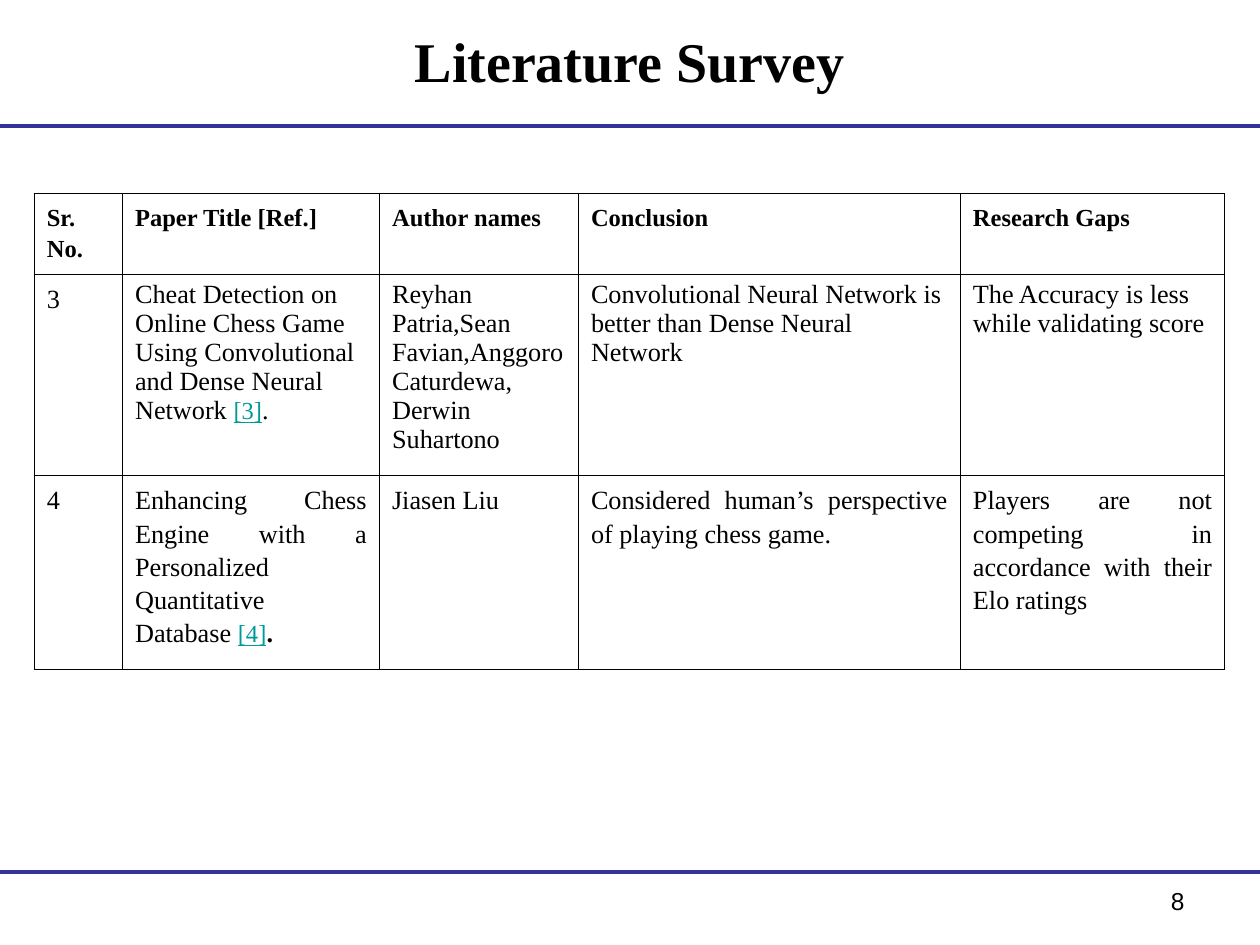
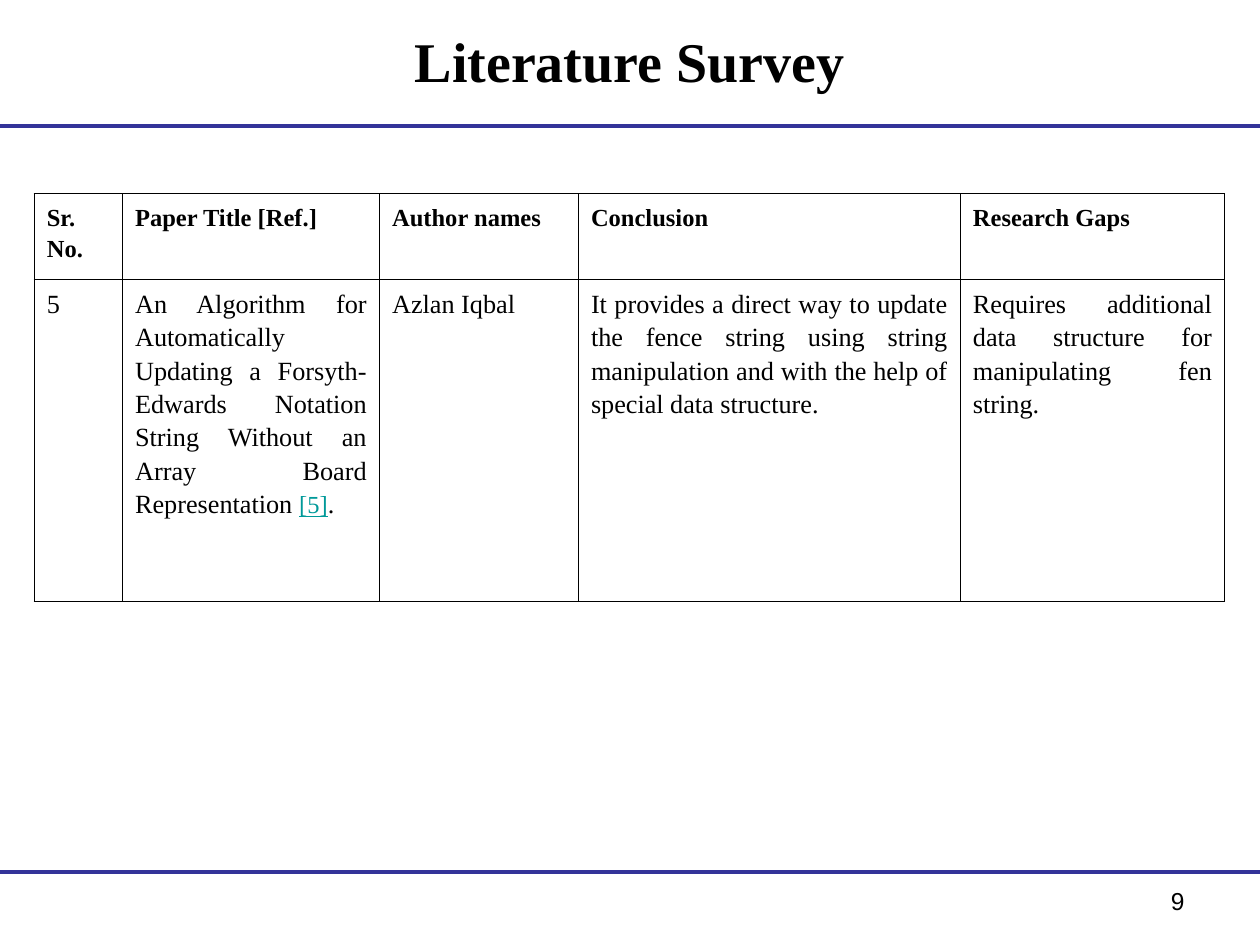
"""Build the two literature survey slides, each with a ruled table of papers."""
from dataclasses import dataclass

from lxml.etree import SubElement
from pptx import Presentation
from pptx.dml.color import RGBColor as RGB
from pptx.enum.shapes import MSO_CONNECTOR as CONN
from pptx.enum.text import MSO_ANCHOR as ANCHOR, PP_ALIGN as ALIGN
from pptx.oxml import parse_xml
from pptx.oxml.ns import nsdecls, qn
from pptx.util import Cm, Pt

TITLE = "Literature Survey"
HEADERS = ["Sr. No.", "Paper Title [Ref.]", "Author names", "Conclusion", "Research Gaps"]


@dataclass
class Paper:
    number: int
    title: str
    authors: str
    conclusion: str
    gaps: str
    height: float
    spaced: bool = True
    bold_stop: bool = False


SLIDES = [
    {"page": 8, "header_height": 1.6, "papers": [
        Paper(3, "Cheat Detection on Online Chess Game Using Convolutional and Dense Neural Network ",
              "Reyhan Patria,Sean Favian,Anggoro Caturdewa, Derwin Suhartono",
              "Convolutional Neural Network is better than Dense Neural Network",
              "The Accuracy is less\nwhile validating score", 3.81, spaced=False),
        Paper(4, "Enhancing Chess Engine with a Personalized Quantitative Database ",
              "Jiasen Liu",
              "Considered human’s perspective of playing chess game.",
              "Players are not competing in accordance with their Elo ratings", 3.61,
              bold_stop=True),
    ]},
    {"page": 9, "header_height": 1.73, "papers": [
        Paper(5, "An Algorithm for Automatically Updating a Forsyth-Edwards Notation String "
                 "Without an Array Board Representation ",
              "Azlan Iqbal",
              "It provides a direct way to update the fence string using string manipulation "
              "and with the help of special data structure.",
              "Requires additional data structure for manipulating fen string.", 6.48),
    ]},
]


@dataclass(frozen=True)
class Theme:
    ink: RGB = RGB(0, 0, 0)
    rule: RGB = RGB(0x33, 0x33, 0x99)
    ref: RGB = RGB(0x00, 0x99, 0x99)
    serif: str = "Times New Roman"
    sans: str = "Arial"
    title: int = 32
    body: int = 15
    small: int = 14
    rule_width: float = 2.25
    border_width: float = 0.62


T = Theme()
WIDTH, HEIGHT = 25.4, 19.05
RULES = [2.54, 17.58]
TITLE_BOX = (1.27, 0.33, 22.86, 1.78)
PAGE_BOX = (18.21, 17.73, 5.92, 1.32)
TABLE_LEFT, TABLE_TOP = 0.69, 3.91
COLUMNS = [1.78, 5.18, 4.01, 7.7, 5.33]


def style(r, size, font=T.serif, bold=False, color=T.ink):
    r.font.size, r.font.name, r.font.bold = Pt(size), font, bold
    r.font.color.rgb = color


def add_rule(s, y):
    line = s.shapes.add_connector(CONN.STRAIGHT, 0, Cm(y), Cm(WIDTH), Cm(y))
    line.line.color.rgb, line.line.width = T.rule, Pt(T.rule_width)
    SubElement(line._element.spPr, qn("a:effectLst"))


def add_label(s, box, text, align, anchor, **look):
    tf = s.shapes.add_textbox(*map(Cm, box)).text_frame
    tf.word_wrap, tf.vertical_anchor, tf.text = True, anchor, text
    p = tf.paragraphs[0]
    p.alignment = align
    style(p.runs[0], **look)


def set_borders(cell):
    tc_pr = cell._tc.get_or_add_tcPr()
    for i, side in enumerate("LRTB"):
        tc_pr.insert(i, parse_xml(
            f'<a:ln{side} {nsdecls("a")} w="{Pt(T.border_width)}">'
            f'<a:solidFill><a:srgbClr val="{T.ink}"/></a:solidFill></a:ln{side}>'))


def fill_cell(cell, text, size=T.body, bold=False, align=ALIGN.LEFT, spaced=True):
    cell.fill.background()
    set_borders(cell)
    cell.text_frame.text = text
    for p in cell.text_frame.paragraphs:
        p.alignment = align
        if spaced:
            p.line_spacing, p.space_before, p.space_after = 1.15, Pt(12), Pt(12)
        for r in p.runs:
            style(r, size, bold=bold)


def add_reference(cell, paper):
    p = cell.text_frame.paragraphs[0]
    ref, stop = p.add_run(), p.add_run()
    ref.text, stop.text = f"[{paper.number}]", "."
    style(ref, T.small, color=T.ref)
    ref.font.underline = True
    style(stop, T.body, bold=paper.bold_stop)


def add_survey(s, header_height, papers):
    heights = [header_height] + [paper.height for paper in papers]
    table = s.shapes.add_table(len(heights), len(COLUMNS), Cm(TABLE_LEFT), Cm(TABLE_TOP),
                               Cm(sum(COLUMNS)), Cm(sum(heights))).table
    table.first_row = table.horz_banding = False
    for column, width in zip(table.columns, COLUMNS):
        column.width = Cm(width)
    for row, height in zip(table.rows, heights):
        row.height = Cm(height)
    for c, header in enumerate(HEADERS):
        fill_cell(table.cell(0, c), header, T.small, bold=True)
    for i, paper in enumerate(papers, 1):
        fill_cell(table.cell(i, 0), str(paper.number), align=ALIGN.JUSTIFY)
        align = ALIGN.JUSTIFY if paper.spaced else ALIGN.LEFT
        texts = [paper.title, paper.authors, paper.conclusion, paper.gaps]
        for c, text in enumerate(texts, 1):
            fill_cell(table.cell(i, c), text, align=align, spaced=paper.spaced)
        add_reference(table.cell(i, 1), paper)


def main():
    prs = Presentation()
    prs.slide_width, prs.slide_height = Cm(WIDTH), Cm(HEIGHT)
    for slide in SLIDES:
        s = prs.slides.add_slide(prs.slide_layouts[6])
        for y in RULES:
            add_rule(s, y)
        add_label(s, TITLE_BOX, TITLE, ALIGN.CENTER, ANCHOR.MIDDLE, size=T.title, bold=True)
        add_label(s, PAGE_BOX, str(slide["page"]), ALIGN.RIGHT, ANCHOR.TOP,
                  size=T.small, font=T.sans)
        add_survey(s, slide["header_height"], slide["papers"])
    prs.save("out.pptx")


if __name__ == "__main__":
    main()
